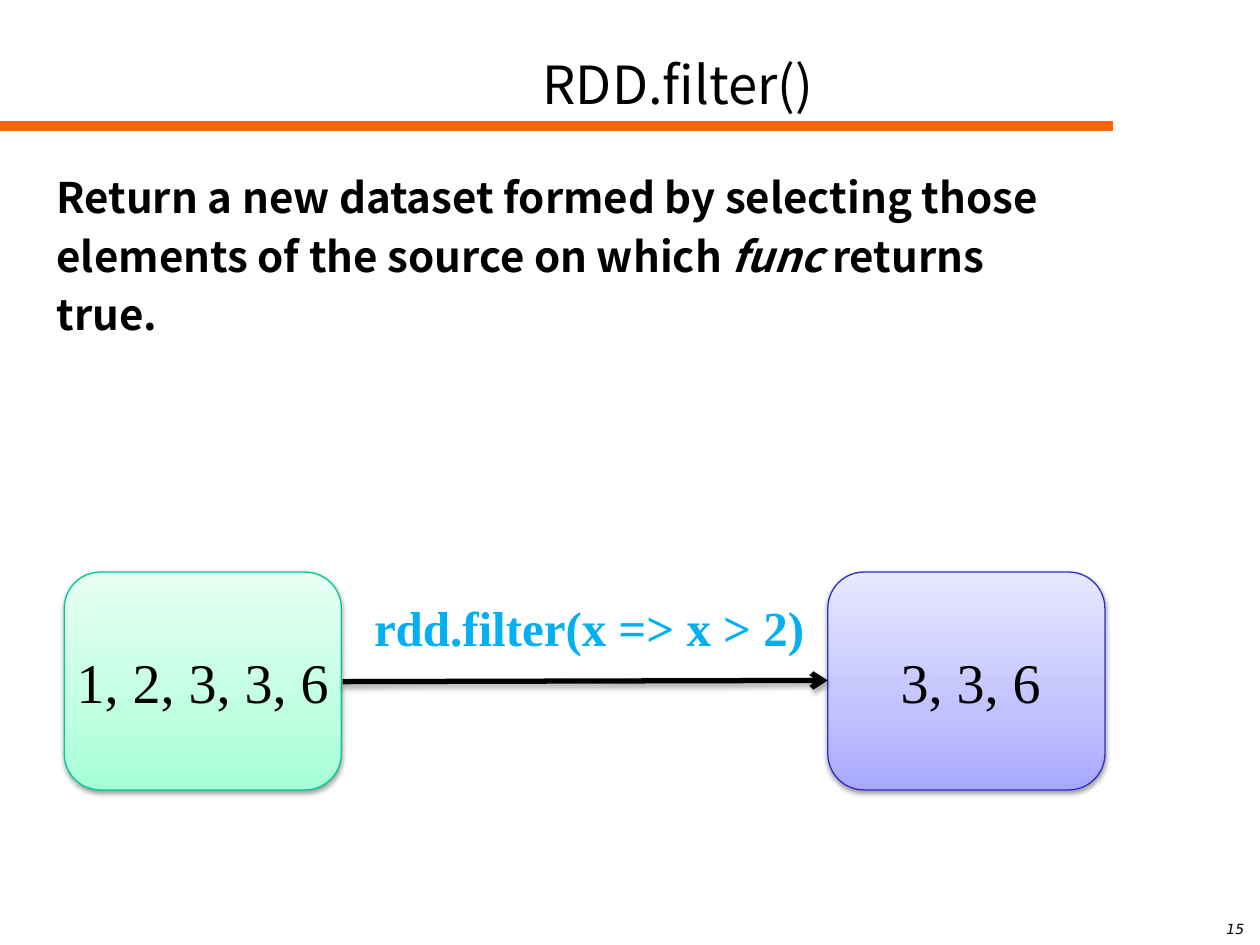
from lxml.etree import SubElement
from pptx import Presentation
from pptx.dml.color import RGBColor
from pptx.enum.shapes import MSO_CONNECTOR as CONN, MSO_SHAPE as SHAPE
from pptx.enum.text import MSO_ANCHOR as ANCHOR, PP_ALIGN as ALIGN
from pptx.oxml.ns import qn
from pptx.util import Inches, Pt

SANS = "Noto Sans CJK SC"
SERIF = "Times New Roman"
BOX_TOP, BOX_W, BOX_H = 4.54, 2.2, 1.73


def rgb(value):
    return RGBColor.from_string(value)


def add_color(parent, value):
    return SubElement(parent, qn("a:srgbClr"), val=value)


def add_shadow(effects, distance, alpha):
    shadow = SubElement(effects, qn("a:outerShdw"), blurRad=str(Pt(3.1)),
                        dist=str(Pt(distance)), dir="5400000", rotWithShape="0")
    SubElement(add_color(shadow, "000000"), qn("a:alpha"), val=str(alpha * 1000))


def add_text(s, box, paragraphs, size, font, color="000000", bold=False,
             italic=False, align=ALIGN.LEFT, anchor=ANCHOR.TOP, wrap=True, gap=0):
    tf = s.shapes.add_textbox(*map(Inches, box)).text_frame
    tf.word_wrap = wrap
    tf.vertical_anchor = anchor
    for i, runs in enumerate(paragraphs):
        p = tf.add_paragraph() if i else tf.paragraphs[0]
        p.alignment = align
        if i:
            p.space_before = Pt(gap)
        for text, slanted in runs:
            r = p.add_run()
            r.text = text
            f = r.font
            f.name, f.size, f.bold, f.italic = font, Pt(size), bold, italic or slanted
            f.color.rgb = rgb(color)
            SubElement(f._element, qn("a:ea"), typeface=font)


def add_dataset(s, left, stops, outline):
    sp = s.shapes.add_shape(SHAPE.ROUNDED_RECTANGLE, *map(Inches, (left, BOX_TOP, BOX_W, BOX_H)))
    sp.fill.gradient()
    sp.fill.gradient_angle = 90
    stop_list = sp._element.spPr.find(qn("a:gradFill")).find(qn("a:gsLst"))
    stop_list.clear()
    for position, color in zip((0, 35, 100), stops):
        add_color(SubElement(stop_list, qn("a:gs"), pos=str(position * 1000)), color)
    sp.line.color.rgb = rgb(outline)
    sp.line.width = Pt(0.75)
    sp.shadow.inherit = False
    add_shadow(sp._element.spPr.find(qn("a:effectLst")), 1.6, 38)


def add_line(s, start, end, color, width):
    line = s.shapes.add_connector(CONN.STRAIGHT, *map(Inches, start + end))
    line.line.color.rgb = rgb(color)
    line.line.width = Pt(width)
    return line, SubElement(line._element.spPr, qn("a:effectLst"))


def add_arrow(s, start, end):
    line, effects = add_line(s, start, end, "000000", 3)
    SubElement(line.line._get_or_add_ln(), qn("a:tailEnd"), type="arrow")
    add_shadow(effects, 1.8, 35)


def main():
    prs = Presentation()
    prs.slide_width, prs.slide_height = Inches(10), Inches(7.5)
    s = prs.slides.add_slide(prs.slide_layouts[6])

    add_line(s, (0, 1), (8.83, 1), "FF6600", 6)
    add_text(s, (9.57, 7.21, 0.47, 0.32), [[("15", True)]], 8, "DejaVu Sans",
             align=ALIGN.CENTER, anchor=ANCHOR.MIDDLE, wrap=False)
    add_text(s, (1.92, 0.33, 6.92, 0.67), [[("RDD.filter()", False)]], 30, SANS,
             align=ALIGN.CENTER, anchor=ANCHOR.MIDDLE)
    add_text(s, (0.35, 1.31, 9.48, 5.11), [
        [("Return a new dataset formed by selecting those", False)],
        [("elements of the source on which\u00a0", False), ("func ", True), ("returns", False)],
        [("true.", False)],
    ], 24, SANS, bold=True, gap=4.8)

    add_dataset(s, 0.51, ("A5FFD6", "BFFFE2", "E7FFF3"), "00C896")
    add_text(s, (0.51, 5.09, 2.2, 0.64), [[("1, 2, 3, 3, 6", False)]], 32, SERIF, wrap=False)
    add_dataset(s, 6.57, ("A7A7FF", "C1C1FF", "E7E7FF"), "2E2ECB")
    add_text(s, (7.05, 5.09, 1.5, 0.64), [[("3, 3, 6", False)]], 32, SERIF, wrap=False)
    add_arrow(s, (2.72, 5.41), (6.57, 5.4))
    add_text(s, (2.87, 4.69, 3.78, 0.57), [[("rdd.filter(x => x > 2)", False)]], 28, SERIF,
             color="00B0F0", bold=True, wrap=False)


    prs.save("out.pptx")


if __name__ == "__main__":
    main()
